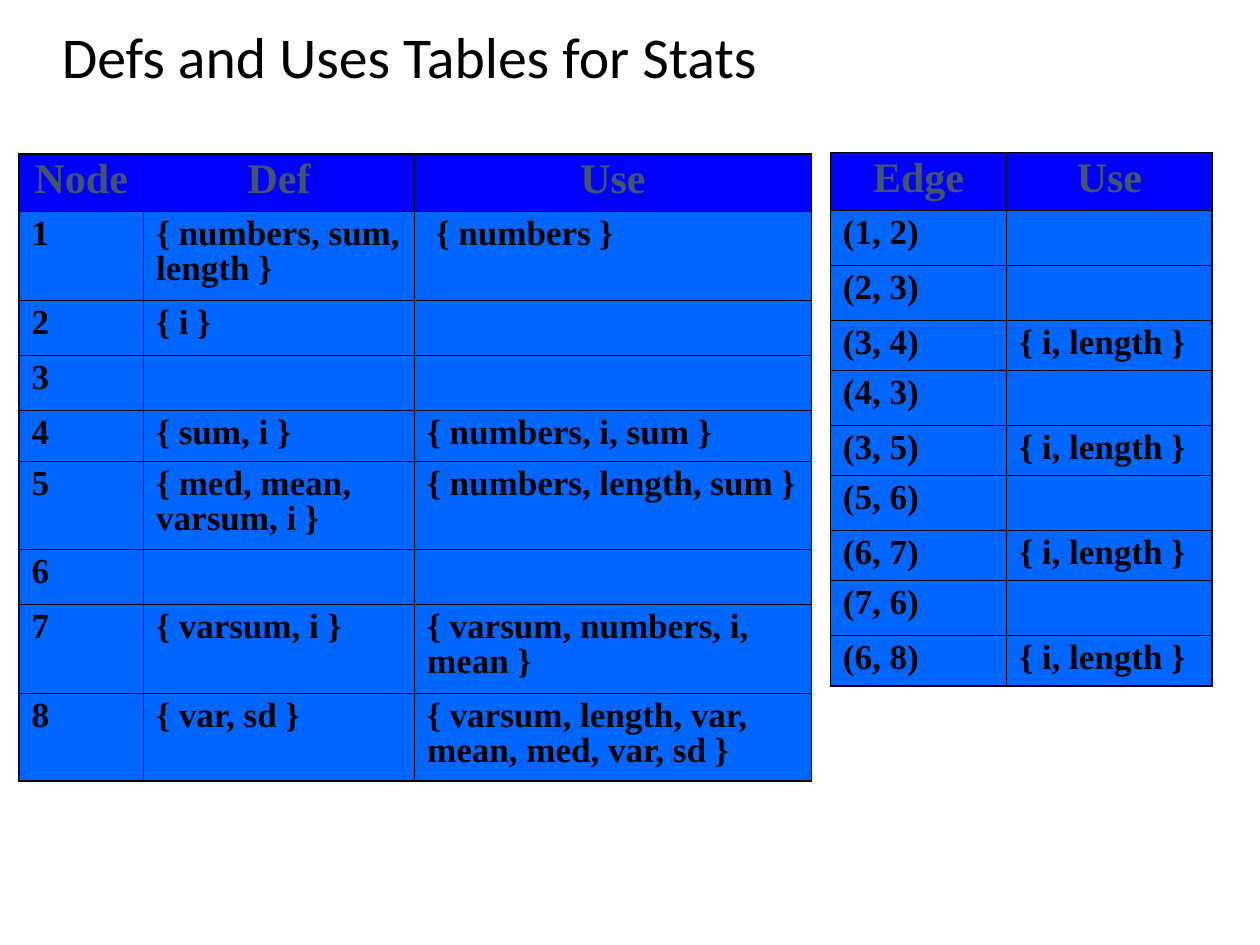
from lxml import etree
from pptx import Presentation
from pptx.dml.color import RGBColor
from pptx.enum.text import MSO_ANCHOR, MSO_AUTO_SIZE, PP_ALIGN
from pptx.oxml.ns import qn
from pptx.util import Inches, Pt

LEFT, CENTER = PP_ALIGN.LEFT, PP_ALIGN.CENTER
MIDDLE = MSO_ANCHOR.MIDDLE
NO_AUTOFIT = MSO_AUTO_SIZE.NONE

BLACK = RGBColor(0x00, 0x00, 0x00)
SLATE = RGBColor(0x44, 0x54, 0x6A)
HEADER_BLUE = RGBColor(0x00, 0x00, 0xFF)
BODY_BLUE = RGBColor(0x00, 0x66, 0xFF)

OUTER_LINE, INNER_LINE = Pt(1.08), Pt(0.45)
HEADER_HEIGHT, TWO_LINE_HEIGHT = 0.46, 0.7

NODE_ROWS = [
    ("Node", "Def", "Use"),
    ("1", "{ numbers, sum, length }", " { numbers }"),
    ("2", "{ i }", ""),
    ("3", "", ""),
    ("4", "{ sum, i }", "{ numbers, i, sum }"),
    ("5", "{ med, mean, varsum, i }", "{ numbers, length, sum }"),
    ("6", "", ""),
    ("7", "{ varsum, i }", "{ varsum, numbers, i, mean }"),
    ("8", "{ var, sd }", "{ varsum, length, var, mean, med, var, sd }"),
]
NODE_HEIGHTS = [HEADER_HEIGHT, TWO_LINE_HEIGHT, 0.44, 0.44, 0.4,
                TWO_LINE_HEIGHT, 0.44, TWO_LINE_HEIGHT, TWO_LINE_HEIGHT]

LOOP_USE = "{ i, length }"
EDGE_ROWS = [
    ("Edge", "Use"),
    ("(1, 2)", ""),
    ("(2, 3)", ""),
    ("(3, 4)", LOOP_USE),
    ("(4, 3)", ""),
    ("(3, 5)", LOOP_USE),
    ("(5, 6)", ""),
    ("(6, 7)", LOOP_USE),
    ("(7, 6)", ""),
    ("(6, 8)", LOOP_USE),
]
EDGE_HEIGHTS = [HEADER_HEIGHT] + [0.4 if use else 0.435 for _, use in EDGE_ROWS[1:]]


def write_text(frame, text, size, color, font="Times New Roman", bold=False, align=LEFT):
    para = frame.paragraphs[0]
    para.alignment = align
    para.line_spacing = 0.9
    span = para.add_run()
    span.text = text
    span.font.name = font
    span.font.size = Pt(size)
    span.font.bold = bold
    span.font.color.rgb = color


def set_borders(cell, widths):
    """Draw black cell borders; widths run left, right, top, bottom."""
    properties = cell._tc.get_or_add_tcPr()
    for side, width in zip("LRTB", widths):
        line = etree.SubElement(properties, qn(f"a:ln{side}"), w=str(width))
        fill = etree.SubElement(line, qn("a:solidFill"))
        etree.SubElement(fill, qn("a:srgbClr"), val=str(BLACK))


def add_title(page, text, left, top, width, height):
    title = page.shapes.title
    title.left, title.top = Inches(left), Inches(top)
    title.width, title.height = Inches(width), Inches(height)
    frame = title.text_frame
    frame.auto_size = NO_AUTOFIT
    frame.word_wrap = True
    frame.vertical_anchor = MIDDLE
    write_text(frame, text, 33, BLACK, font="Calibri")


def add_use_table(page, rows, left, top, widths, heights):
    table = page.shapes.add_table(
        len(rows), len(widths), Inches(left), Inches(top),
        Inches(sum(widths)), Inches(sum(heights))).table
    table.horz_banding = False
    for column, width in zip(table.columns, widths):
        column.width = Inches(width)
    for row, height in zip(table.rows, heights):
        row.height = Inches(height)

    last_row, last_column = len(rows) - 1, len(widths) - 1
    for r, texts in enumerate(rows):
        for c, text in enumerate(texts):
            cell = table.cell(r, c)
            on_edge = (c == 0, c == last_column, r == 0, r == last_row)
            set_borders(cell, [OUTER_LINE if edge else INNER_LINE for edge in on_edge])
            cell.fill.solid()
            cell.fill.fore_color.rgb = BODY_BLUE if r else HEADER_BLUE
            if r == 0:
                write_text(cell.text_frame, text, 24, SLATE, bold=True, align=CENTER)
            elif text:
                write_text(cell.text_frame, text, 20, BLACK, bold=True)


def main():
    deck = Presentation()
    deck.slide_width, deck.slide_height = Inches(10), Inches(7.5)
    page = deck.slides.add_slide(deck.slide_layouts[5])

    add_title(page, "Defs and Uses Tables for Stats", 0.39, -0.25, 8.63, 1.45)
    # Definitions and uses at each node
    add_use_table(page, NODE_ROWS, 0.15, 1.22, [0.99, 2.15, 3.15], NODE_HEIGHTS)
    # Uses on each edge
    add_use_table(page, EDGE_ROWS, 6.59, 1.21, [1.4, 1.63], EDGE_HEIGHTS)

    deck.save("out.pptx")


if __name__ == "__main__":
    main()
